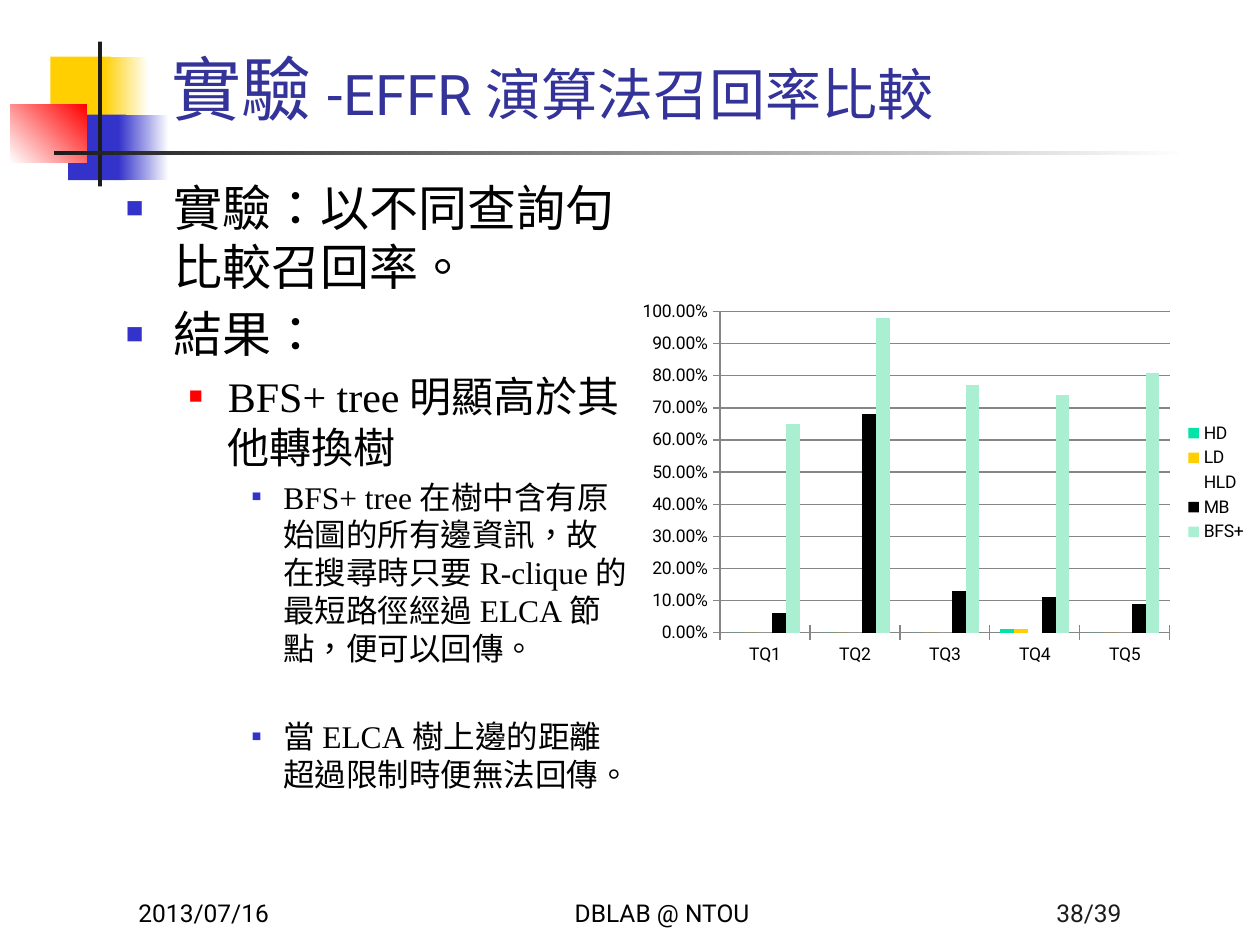
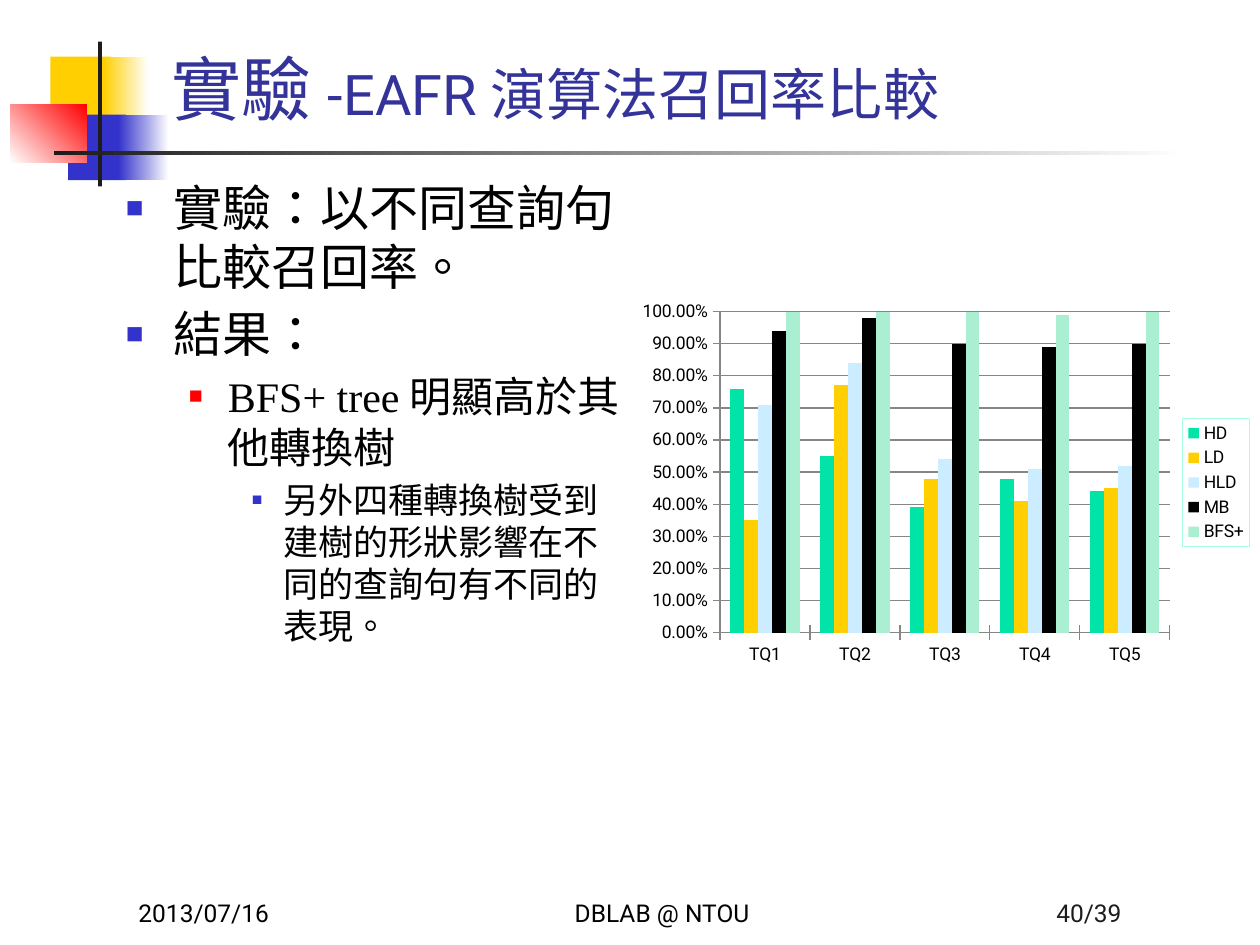
from lxml import etree
from pptx import Presentation
from pptx.chart import data
from pptx.dml.color import RGBColor
from pptx.enum import chart as kinds, shapes, text
from pptx.oxml import parse_xml
from pptx.oxml.ns import nsdecls, qn
from pptx.util import Inches, Pt

HUES = dict(gold="FFCF01", blue="3333CC", red="FF0000", dark="1C1C1C", white="FFFFFF",
            black="000000", title="333399", grid="868686", edge="AAFFE0",
            mint="00E4A8", sky="CCECFF", aqua="AAEFD1")
SANS, SERIF, CJK = "Roboto", "Times New Roman", "Noto Sans CJK SC"

# Left, top, width, height, first colour, second colour, angle
BAND = [
    (0.4, 0.45, 0.48, 0.52, "gold", None, 0),
    (0.82, 0.45, 0.36, 0.52, "gold", "white", 0),
    (0.54, 0.91, 0.46, 0.52, "blue", None, 0),
    (0.94, 0.91, 0.4, 0.52, "blue", "white", 0),
    (0.08, 0.83, 0.61, 0.46, "white", "red", 45),
    (0.78, 0.33, 0.03, 1.15, "dark", None, 0),
    (0.43, 1.2, 9, 0.03, "dark", "white", 0),
]

# Outline level: left margin, hanging indent, bullet colour, bullet percent
LEVELS = [(0.38, 0.38, "blue", 60), (0.81, 0.31, "red", 55), (1.25, 0.25, "blue", 50)]

# Level, size, space before, runs of (text, font)
INTRO = [
    (0, 28, 0, [("實驗：以不同", SERIF), ("查詢句比較召回率", CJK), ("。", SERIF)]),
    (0, 28, 5, [("結果：", SERIF)]),
    (1, 24, 4.5, [("BFS+ tree明顯高於其他轉換樹", SERIF)]),
]
NAMES = ["HD", "LD", "HLD", "MB", "BFS+"]
CATS = ["TQ1", "TQ2", "TQ3", "TQ4", "TQ5"]

SLIDES = [
    dict(algo="EFFR", page="38/39", hld="white", edge=None,
         notes=[
             (2, 18, 3.5, [("BFS+ tree在樹中含有原始圖的所有邊資訊，故在搜尋時只要R-clique的"
                            "最短路徑經過ELCA節點，便可以回傳。", SERIF)]),
             (2, 18, 29, [("當ELCA樹上邊的距離超過限制時便無法回傳。", SERIF)])],
         rows=[[0, 0, 0, 0.01, 0]] * 3 + [[0.06, 0.68, 0.13, 0.11, 0.09],
                                          [0.65, 0.98, 0.77, 0.74, 0.81]]),
    dict(algo="EAFR", page="40/39", hld="sky", edge="edge",
         notes=[(2, 20, 4, [("另外四種轉換樹受到建樹的形狀影響在不同的查詢句有不同的表現。", SERIF)])],
         rows=[[0.76, 0.55, 0.39, 0.48, 0.44], [0.35, 0.77, 0.48, 0.41, 0.45],
               [0.71, 0.84, 0.54, 0.51, 0.52], [0.94, 0.98, 0.9, 0.89, 0.9],
               [1, 1, 1, 0.99, 1]]),
]


def rgb(hue):
    return RGBColor.from_string(HUES[hue])


def style(run, size, face, hue):
    run.font.size, run.font.name = Pt(size), face
    run.font.color.rgb = rgb(hue)
    props = run._r.get_or_add_rPr()
    props.set("lang", "zh-TW")
    latin = props.find(qn("a:latin"))
    latin.addnext(parse_xml(f'<a:ea {nsdecls("a")} typeface="{CJK}"/>'))


def add_band(slide):
    for x, y, w, h, hue, end, angle in BAND:
        box = slide.shapes.add_shape(shapes.MSO_SHAPE.RECTANGLE, *map(Inches, (x, y, w, h)))
        box.shadow.inherit = False
        box.line.fill.background()
        if end:
            box.fill.gradient()
            box.fill.gradient_angle = angle
            for stop, tone in zip(box.fill.gradient_stops, (hue, end)):
                stop.color.rgb = rgb(tone)
        else:
            box.fill.solid()
            box.fill.fore_color.rgb = rgb(hue)


def add_title(slide, algo):
    head = slide.shapes.title
    head.left, head.top, head.width, head.height = map(Inches, (1.26, 0.17, 8.52, 0.86))
    frame = head.text_frame
    frame.vertical_anchor = text.MSO_ANCHOR.BOTTOM
    frame.margin_bottom = 0
    frame.auto_size = text.MSO_AUTO_SIZE.NONE
    para = frame.paragraphs[0]
    para.alignment = text.PP_ALIGN.LEFT
    for words, size in (("實驗", 40), (f"-{algo}演算法召回率比較", 32)):
        run = para.add_run()
        run.text = words
        style(run, size, SANS, "title")


def add_box(slide, x, y, w, h):
    frame = slide.shapes.add_textbox(*map(Inches, (x, y, w, h))).text_frame
    frame.word_wrap = True
    return frame


def add_bullet(para, level):
    left, hang, hue, size = LEVELS[level]
    para.level = level
    props = para._p.get_or_add_pPr()
    props.set("marL", str(Inches(left)))
    props.set("indent", str(-Inches(hang)))
    color = etree.SubElement(props, qn("a:buClr"))
    etree.SubElement(color, qn("a:srgbClr"), val=HUES[hue])
    etree.SubElement(props, qn("a:buSzPct"), val=str(size * 1000))
    etree.SubElement(props, qn("a:buFont"), typeface="Arial")
    etree.SubElement(props, qn("a:buChar"), char="■")


def add_body(slide, items):
    frame = add_box(slide, 0.9, 1.31, 4.19, 5.42)
    frame.margin_top = Inches(0.1)
    for i, (level, size, gap, runs) in enumerate(items):
        para = frame.add_paragraph() if i else frame.paragraphs[0]
        add_bullet(para, level)
        para.space_before = Pt(gap)
        para.line_spacing = Pt(1.2 * size)
        for words, face in runs:
            run = para.add_run()
            run.text = words
            style(run, size, face, "black")


def add_foot(slide, page):
    aligns = text.PP_ALIGN
    for x, w, words, align, hue in ((1, 2.08, "2013/07/16", aligns.LEFT, "black"),
                                    (3.67, 3.17, "DBLAB @ NTOU", aligns.CENTER, "black"),
                                    (6.92, 2.08, page, aligns.RIGHT, "dark")):
        frame = add_box(slide, x, 6.91, w, 0.5)
        frame.vertical_anchor = text.MSO_ANCHOR.BOTTOM
        frame.text = words
        para = frame.paragraphs[0]
        para.alignment = align
        style(para.runs[0], 14, SANS, hue)


def set_plot(chart):
    area = chart._chartSpace.chart.plotArea
    for old in area.findall(qn("c:layout")):
        area.remove(old)
    sizes = dict(x=0.143, y=0.048, w=0.714, h=0.849)
    marks = "".join(f'<c:{k}Mode val="edge"/>' for k in "xy")
    marks += "".join(f'<c:{k} val="{v}"/>' for k, v in sizes.items())
    area.insert(0, parse_xml(f'<c:layout {nsdecls("c")}><c:manualLayout>'
                             f'<c:layoutTarget val="inner"/>{marks}'
                             '</c:manualLayout></c:layout>'))


def set_key(chart, edge):
    chart.has_legend = True
    key = chart.legend
    key.position = kinds.XL_LEGEND_POSITION.RIGHT
    key.include_in_layout = False
    if edge:
        key._element.find(qn("c:overlay")).addnext(parse_xml(
            f'<c:spPr {nsdecls("c", "a")}><a:ln w="9525"><a:solidFill>'
            f'<a:srgbClr val="{HUES[edge]}"/></a:solidFill></a:ln></c:spPr>'))


def add_chart(slide, rows, hld, edge):
    table = data.CategoryChartData(number_format="0.00%")
    table.categories = CATS
    for name, row in zip(NAMES, rows):
        table.add_series(name, row)
    chart = slide.shapes.add_chart(kinds.XL_CHART_TYPE.COLUMN_CLUSTERED,
                                   *map(Inches, (5, 2.33, 5, 3)), table).chart
    chart.has_title = False
    chart.font.size, chart.font.name = Pt(10), SANS
    chart.font.color.rgb = rgb("black")
    plot = chart.plots[0]
    plot.gap_width, plot.overlap, plot.vary_by_categories = 150, 0, False
    for bars, hue in zip(plot.series, ("mint", "gold", hld, "black", "aqua")):
        bars.format.fill.solid()
        bars.format.fill.fore_color.rgb = rgb(hue)
        bars.invert_if_negative = False

    # Axes and grid
    for axis in (chart.category_axis, chart.value_axis):
        axis.major_tick_mark = kinds.XL_TICK_MARK.CROSS
        axis.format.line.color.rgb = rgb("grid")
    scale = chart.value_axis
    scale.minimum_scale, scale.maximum_scale, scale.major_unit = 0, 1, 0.1
    scale.has_major_gridlines = True
    scale.major_gridlines.format.line.color.rgb = rgb("grid")
    scale.tick_labels.number_format = "0.00%"
    scale.tick_labels.number_format_is_linked = False
    set_plot(chart)
    set_key(chart, edge)


def main():
    deck = Presentation()
    deck.slide_width, deck.slide_height = Inches(10), Inches(7.5)
    for item in SLIDES:
        slide = deck.slides.add_slide(deck.slide_layouts[5])
        add_band(slide)
        add_title(slide, item["algo"])
        add_body(slide, INTRO + item["notes"])
        add_foot(slide, item["page"])
        add_chart(slide, item["rows"], item["hld"], item["edge"])
    deck.save("out.pptx")


if __name__ == "__main__":
    main()
